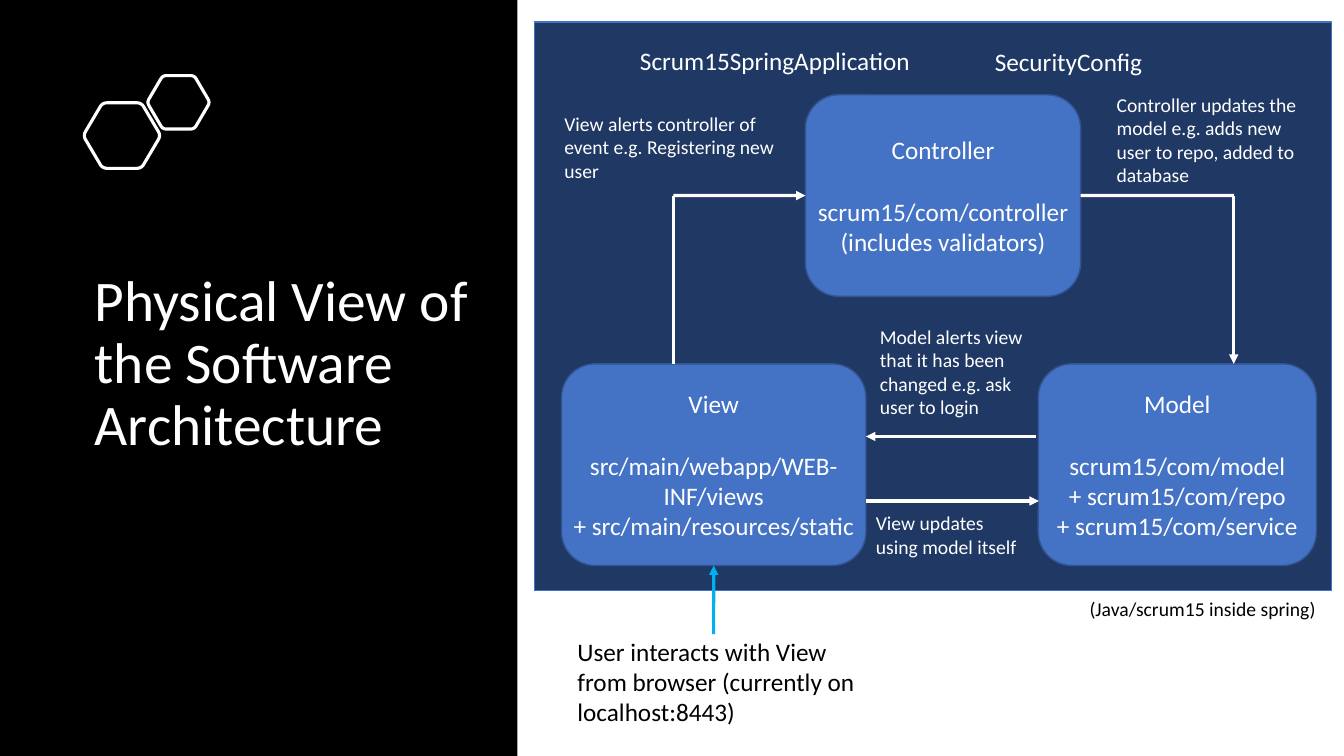
from dataclasses import dataclass

from lxml.etree import SubElement
from pptx import Presentation
from pptx.dml.color import RGBColor
from pptx.enum.shapes import MSO_CONNECTOR, MSO_SHAPE
from pptx.enum.text import MSO_ANCHOR, MSO_AUTO_SIZE, PP_ALIGN
from pptx.oxml.ns import qn
from pptx.util import Inches, Pt


@dataclass(frozen=True)
class Theme:
    font: str = "Calibri"
    white: str = "FFFFFF"
    black: str = "000000"
    navy: str = "203864"
    blue: str = "4472C4"
    edge: str = "325491"
    cyan: str = "00B0F0"
    title: int = 41
    body: int = 18
    note: int = 14
    gap: int = 22
    thin: float = 1
    thick: float = 2.25


T = Theme()
WIDE, HIGH = Inches(13.33), Inches(7.5)
TOP, LOW = 25.87, 48.13  # rows of the upper arrows and the lower boxes


# Lengths: percent of the slide's width and height
def px(val):
    return round(WIDE * val / 100)


def py(val):
    return round(HIGH * val / 100)


def area(box):
    x, y, w, h = box
    return px(x), py(y), px(w), py(h)


# Text
def write(frame, text, size=T.body, color=T.white, align=None, gap=0, lead=None):
    frame.word_wrap = True
    for num, line in enumerate(text.split("\n")):
        para = frame.paragraphs[0] if num == 0 else frame.add_paragraph()
        run = para.add_run()
        run.text = line
        run.font.name = T.font
        run.font.size = Pt(size)
        run.font.color.rgb = RGBColor.from_string(color)
        para.alignment = align
        para.line_spacing = lead
        if num == 1 and gap:
            para.space_before = Pt(gap)


def label(slide, box, text, **form):
    frame = slide.shapes.add_textbox(*area(box)).text_frame
    write(frame, text, **form)
    frame.auto_size = MSO_AUTO_SIZE.SHAPE_TO_FIT_TEXT


# Shapes
def paint(shape, fill=None, line=None, width=T.thin):
    shape.shadow.inherit = False
    if fill:
        shape.fill.solid()
        shape.fill.fore_color.rgb = RGBColor.from_string(fill)
    else:
        shape.fill.background()
    if line:
        shape.line.color.rgb = RGBColor.from_string(line)
        shape.line.width = Pt(width)
    else:
        shape.line.fill.background()


def block(slide, box, fill, line=None, kind=MSO_SHAPE.RECTANGLE):
    shape = slide.shapes.add_shape(kind, *area(box))
    paint(shape, fill, line)
    return shape


def node(slide, box, text):
    shape = block(slide, box, T.blue, T.edge, MSO_SHAPE.ROUNDED_RECTANGLE)
    frame = shape.text_frame
    frame.margin_left = frame.margin_right = 0
    frame.margin_top = frame.margin_bottom = 0
    frame.vertical_anchor = MSO_ANCHOR.MIDDLE
    write(frame, text, align=PP_ALIGN.CENTER, gap=T.gap)
    return shape


def hexa(slide, box, cut=0.12, steps=6):
    """Hexagon whose corners are rounded by sampled curves."""
    x, y, w, h = area(box)
    tips = [(-0.02, 0.5), (0.24, 0), (0.76, 0), (1.02, 0.5), (0.76, 1), (0.24, 1)]
    dots = []
    for num, tip in enumerate(tips):
        ends = tips[num - 1], tips[(num + 1) % 6]
        start, stop = [[c + (e - c) * cut for c, e in zip(tip, end)] for end in ends]
        for step in range(steps + 1):
            t = step / steps
            u, v = [(1 - t) ** 2 * a + 2 * t * (1 - t) * b + t * t * c
                    for a, b, c in zip(start, tip, stop)]
            dots.append((round(x + u * w), round(y + v * h)))
    form = slide.shapes.build_freeform(*dots[0])
    form.add_line_segments(dots[1:], close=True)
    paint(form.convert_to_shape(), line=T.white, width=T.thick)


# Lines and arrows
def link(slide, start, stop, color=T.white, head=True, src=None, dst=None):
    wire = slide.shapes.add_connector(
        MSO_CONNECTOR.STRAIGHT, px(start[0]), py(start[1]), px(stop[0]), py(stop[1]))
    if src:
        wire.begin_connect(*src)
    if dst:
        wire.end_connect(*dst)
    wire.line.color.rgb = RGBColor.from_string(color)
    wire.line.width = Pt(T.thick)
    if head:
        SubElement(wire.line._get_or_add_ln(), qn("a:tailEnd"), type="triangle")
    SubElement(wire._element.spPr, qn("a:effectLst"))


def main():
    deck = Presentation()
    deck.slide_width, deck.slide_height = WIDE, HIGH
    slide = deck.slides.add_slide(deck.slide_layouts[5])

    # Side panel with title; the panel goes behind the title
    panel = block(slide, (0, 0, 38.5, 100), T.black)
    slide.shapes._spTree.insert(2, panel._element)
    hexa(slide, (6.3, 13.6, 5.55, 8.67))
    hexa(slide, (11.03, 10, 4.5, 7.07))
    title = slide.shapes.title
    title.left, title.top, title.width, title.height = area((6.3, 17.07, 29.4, 62.4))
    title.text_frame.vertical_anchor = MSO_ANCHOR.MIDDLE
    write(title.text_frame, "Physical View of the Software Architecture",
          size=T.title, align=PP_ALIGN.LEFT, lead=0.9)

    # Application frame and its three parts
    block(slide, (39.75, 2.93, 59.33, 75.2), T.navy, T.blue)
    view = node(slide, (41.78, LOW, 22.65, 26.67),
                "View\nsrc/main/webapp/WEB-INF/views\n+ src/main/resources/static")
    control = node(slide, (59.93, 12.53, 20.48, 26.67),
                   "Controller\nscrum15/com/controller\n(includes validators)")
    node(slide, (77.25, LOW, 20.7, 26.67),
         "Model\nscrum15/com/model\n+ scrum15/com/repo\n+ scrum15/com/service")

    # Flow between the parts
    left, right = (50.1, TOP), (91.8, TOP)
    link(slide, left, (59.93, TOP), dst=(control, 1))
    link(slide, left, (50.1, LOW), head=False)
    link(slide, right, (91.8, LOW))
    link(slide, (80.41, TOP), right, head=False, src=(control, 3))
    link(slide, (64.43, 66.27), (77.3, 66.27))
    link(slide, (77.1, 57.73), (64.43, 57.73))
    link(slide, (53.1, 83.87), (53.1, 74.8), color=T.cyan, dst=(view, 2))

    # Labels
    label(slide, (73.28, 5.47, 12.83, 5.33), "SecurityConfig")
    label(slide, (46.88, 5.33, 22.5, 5.33), "Scrum15SpringApplication")
    label(slide, (42.23, 83.47, 22.5, 13.47),
          "User interacts with View from browser (currently on localhost:8443)",
          color=T.black)
    notes = [
        ((41.25, 14.13, 17.78, 10.8),
         "View alerts controller of event e.g. Registering new user", T.white),
        ((82.35, 11.6, 15.6, 13.87),
         "Controller updates the model e.g. adds new user to repo, added to database",
         T.white),
        ((64.73, 42.27, 14.18, 13.87),
         "Model alerts view that it has been changed e.g. ask user to login", T.white),
        ((64.43, 66.93, 12.53, 7.73), "View updates using model itself", T.white),
        ((80.33, 78.27, 19.05, 4.53), "(Java/scrum15 inside spring)", T.black),
    ]
    for box, text, color in notes:
        label(slide, box, text, size=T.note, color=color)

    deck.save("out.pptx")


if __name__ == "__main__":
    main()
